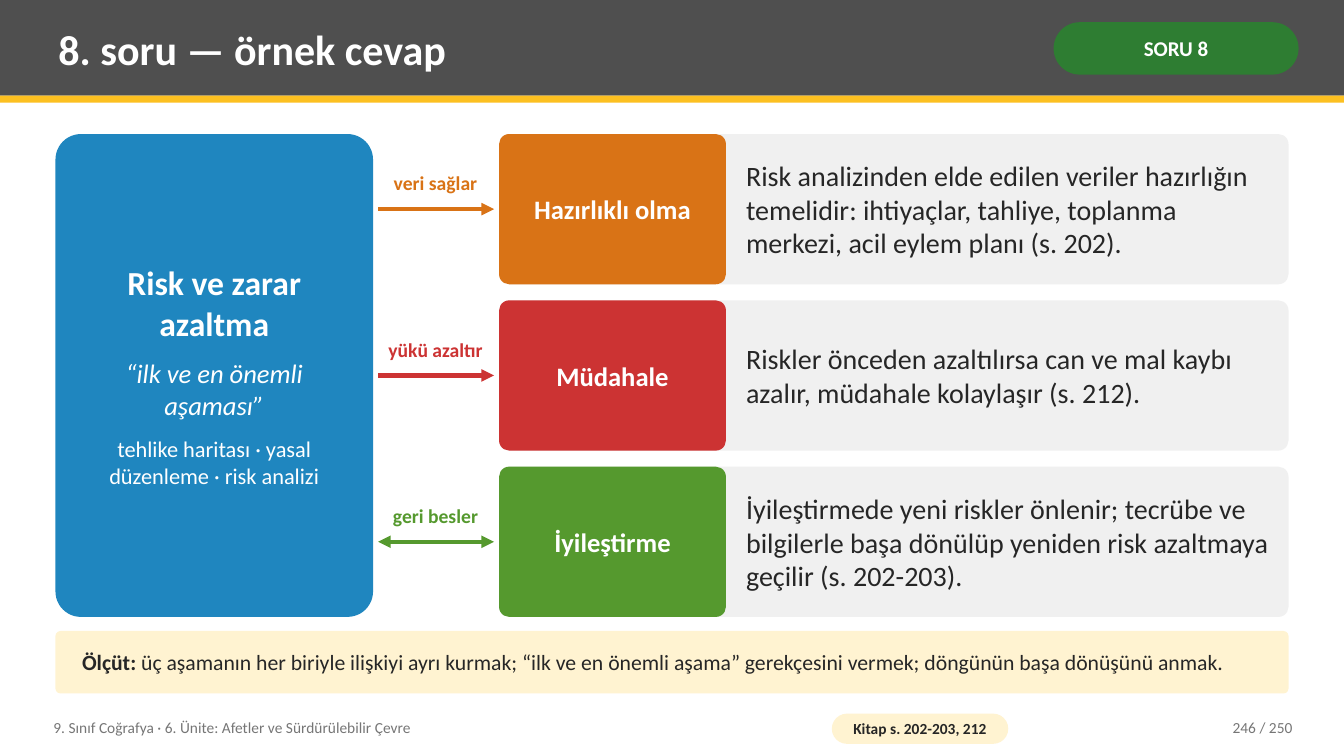
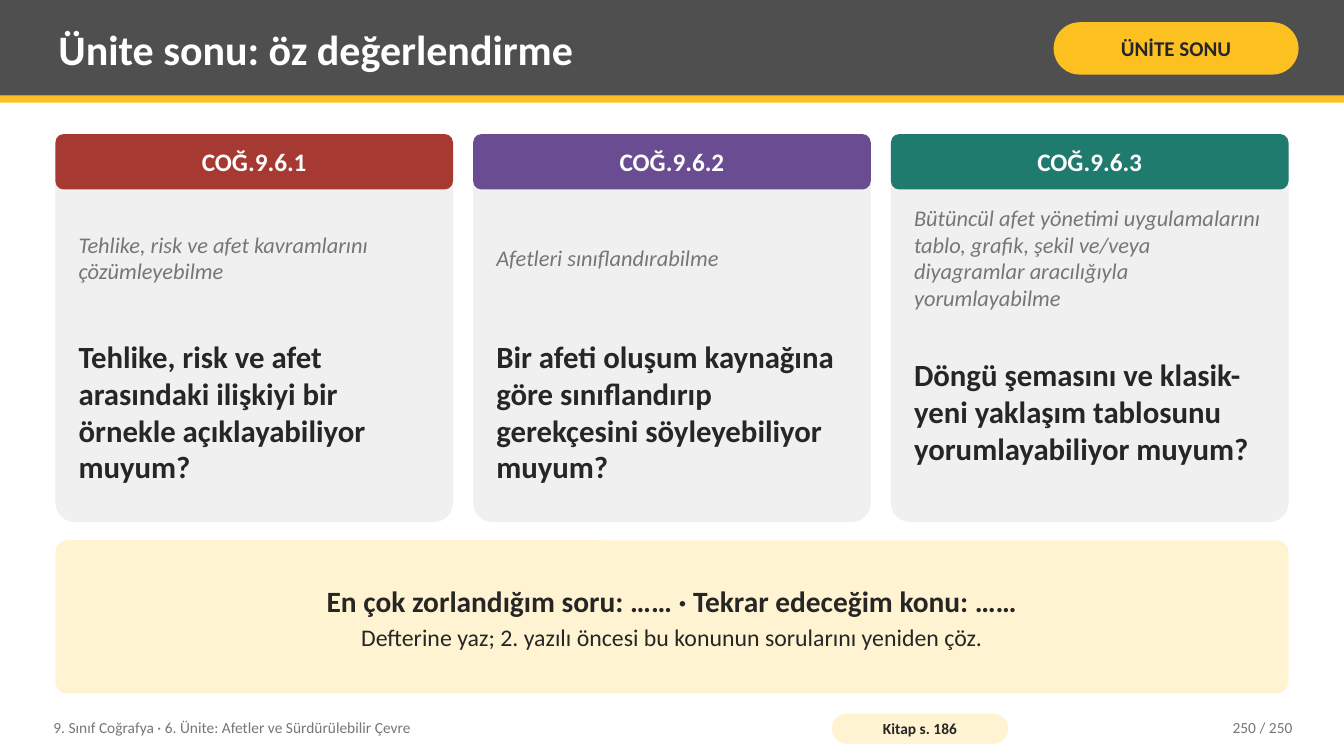
from dataclasses import dataclass

from lxml import etree
from pptx import Presentation
from pptx.dml.color import RGBColor
from pptx.enum.shapes import MSO_CONNECTOR, MSO_SHAPE
from pptx.enum.text import MSO_ANCHOR, PP_ALIGN
from pptx.oxml.ns import qn
from pptx.presentation import Presentation as Deck
from pptx.shapes.autoshape import Shape
from pptx.slide import Slide
from pptx.util import Inches, Pt

RECTANGLE = MSO_SHAPE.RECTANGLE
ROUNDED = MSO_SHAPE.ROUNDED_RECTANGLE
STRAIGHT = MSO_CONNECTOR.STRAIGHT
TOP, MIDDLE = MSO_ANCHOR.TOP, MSO_ANCHOR.MIDDLE
LEFT, CENTER, RIGHT = PP_ALIGN.LEFT, PP_ALIGN.CENTER, PP_ALIGN.RIGHT

FONT = "Calibri"
WHITE = RGBColor(0xFF, 0xFF, 0xFF)
INK = RGBColor(0x26, 0x26, 0x26)
MUTED = RGBColor(0x76, 0x76, 0x76)
BAND = RGBColor(0x4F, 0x4F, 0x4F)
PANEL = RGBColor(0xF0, 0xF0, 0xF0)
CREAM = RGBColor(0xFF, 0xF3, 0xD1)
YELLOW = RGBColor(0xFC, 0xC0, 0x21)
DARK_GREEN = RGBColor(0x2E, 0x7D, 0x32)
BLUE = RGBColor(0x1F, 0x86, 0xBF)
ORANGE = RGBColor(0xD9, 0x73, 0x16)
RED = RGBColor(0xCC, 0x33, 0x33)
GREEN = RGBColor(0x55, 0x99, 0x2E)
BRICK = RGBColor(0xA6, 0x3A, 0x32)
PURPLE = RGBColor(0x6A, 0x4C, 0x93)
TEAL = RGBColor(0x1E, 0x7B, 0x6E)

TEXT_INSETS = (0.08, 0.04)
SHAPE_INSETS = (0.14, 0.08)
UNIT_NAME = "9. Sınıf Coğrafya · 6. Ünite: Afetler ve Sürdürülebilir Çevre"
PAGE_COUNT = 250


@dataclass(frozen=True)
class Area:
    left: float
    top: float
    width: float
    height: float

    @property
    def right(self) -> float:
        return self.left + self.width

    @property
    def bottom(self) -> float:
        return self.top + self.height

    @property
    def middle(self) -> float:
        return self.top + self.height / 2

    def columns(self, count: int, gap: float) -> list["Area"]:
        width = (self.width - gap * (count - 1)) / count
        return [Area(self.left + i * (width + gap), self.top, width, self.height)
                for i in range(count)]

    def rows(self, count: int, gap: float) -> list["Area"]:
        height = (self.height - gap * (count - 1)) / count
        return [Area(self.left, self.top + i * (height + gap), self.width, height)
                for i in range(count)]

    def slice_x(self, start: float, width: float) -> "Area":
        return Area(self.left + start, self.top, width, self.height)

    def slice_y(self, start: float, height: float) -> "Area":
        return Area(self.left, self.top + start, self.width, height)


SLIDE = Area(0, 0, 13.33, 7.5)
CONTENT = Area(0.55, 1.33, 12.23, 5.55)
FOOTER = Area(0.45, 7.04, 12.45, 0.36)


@dataclass(frozen=True)
class Frame:
    title: str
    badge: str
    badge_fill: RGBColor
    badge_color: RGBColor
    source: str
    number: int


@dataclass(frozen=True)
class Stage:
    name: str
    link: str
    detail: str
    color: RGBColor
    two_way: bool = False


@dataclass(frozen=True)
class Outcome:
    code: str
    goal: str
    question: str
    color: RGBColor


STAGES = (
    Stage("Hazırlıklı olma", "veri sağlar",
          "Risk analizinden elde edilen veriler hazırlığın temelidir: ihtiyaçlar, "
          "tahliye, toplanma merkezi, acil eylem planı (s. 202).", ORANGE),
    Stage("Müdahale", "yükü azaltır",
          "Riskler önceden azaltılırsa can ve mal kaybı azalır, müdahale "
          "kolaylaşır (s. 212).", RED),
    Stage("İyileştirme", "geri besler",
          "İyileştirmede yeni riskler önlenir; tecrübe ve bilgilerle başa dönülüp "
          "yeniden risk azaltmaya geçilir (s. 202-203).", GREEN, two_way=True),
)
OUTCOMES = (
    Outcome("COĞ.9.6.1", "Tehlike, risk ve afet kavramlarını çözümleyebilme",
            "Tehlike, risk ve afet arasındaki ilişkiyi bir örnekle açıklayabiliyor "
            "muyum?", BRICK),
    Outcome("COĞ.9.6.2", "Afetleri sınıflandırabilme",
            "Bir afeti oluşum kaynağına göre sınıflandırıp gerekçesini "
            "söyleyebiliyor muyum?", PURPLE),
    Outcome("COĞ.9.6.3",
            "Bütüncül afet yönetimi uygulamalarını tablo, grafik, şekil ve/veya "
            "diyagramlar aracılığıyla yorumlayabilme",
            "Döngü şemasını ve klasik-yeni yaklaşım tablosunu yorumlayabiliyor "
            "muyum?", TEAL),
)


def write(box: Shape, text: str, *, size: float, color: RGBColor = INK,
          bold: bool = False, italic: bool = False, align: PP_ALIGN = LEFT,
          after: float = 0, same_line: bool = False) -> None:
    frame = box.text_frame
    para = frame.paragraphs[-1]
    if para.runs and not same_line:
        para = frame.add_paragraph()
    para.alignment = align
    para.space_after = Pt(after)
    span = para.add_run()
    span.text = text
    span.font.name = FONT
    span.font.size = Pt(size)
    span.font.color.rgb = color
    span.font.bold = bold
    span.font.italic = italic


def set_frame(box: Shape, insets: tuple[float, float], anchor: MSO_ANCHOR) -> None:
    frame = box.text_frame
    frame.word_wrap = True
    frame.vertical_anchor = anchor
    frame.margin_left = frame.margin_right = Inches(insets[0])
    frame.margin_top = frame.margin_bottom = Inches(insets[1])


def place(area: Area) -> tuple[int, int, int, int]:
    return (Inches(area.left), Inches(area.top),
            Inches(area.width), Inches(area.height))


def add_text(page: Slide, area: Area, anchor: MSO_ANCHOR = MIDDLE) -> Shape:
    box = page.shapes.add_textbox(*place(area))
    set_frame(box, TEXT_INSETS, anchor)
    return box


def add_block(page: Slide, area: Area, fill: RGBColor, rounding: float = 0,
              insets: tuple[float, float] = SHAPE_INSETS) -> Shape:
    block = page.shapes.add_shape(ROUNDED if rounding else RECTANGLE, *place(area))
    if rounding:
        block.adjustments[0] = rounding
    block.shadow.inherit = False
    block.fill.solid()
    block.fill.fore_color.rgb = fill
    block.line.fill.background()
    set_frame(block, insets, MIDDLE)
    return block


def add_arrow(page: Slide, start: float, end: float, height: float,
              color: RGBColor, two_way: bool) -> None:
    arrow = page.shapes.add_connector(
        STRAIGHT, Inches(start), Inches(height), Inches(end), Inches(height))
    arrow.line.color.rgb = color
    arrow.line.width = Pt(3)
    properties = arrow._element.spPr
    line = properties.find(qn("a:ln"))
    for end_tag in ("a:headEnd", "a:tailEnd") if two_way else ("a:tailEnd",):
        etree.SubElement(line, qn(end_tag), type="triangle")
    etree.SubElement(properties, qn("a:effectLst"))


def add_page(deck: Deck, frame: Frame) -> Slide:
    page = deck.slides.add_slide(deck.slide_layouts[6])
    add_block(page, SLIDE.slice_y(0, 0.95), BAND)
    add_block(page, SLIDE.slice_y(0.95, 0.07), YELLOW)
    write(add_text(page, Area(0.5, 0.07, 9.75, 0.82)), frame.title,
          size=30, color=WHITE, bold=True)
    badge = add_block(page, Area(10.45, 0.22, 2.43, 0.52), frame.badge_fill,
                      0.5, (0.05, 0.02))
    write(badge, frame.badge, size=15, color=frame.badge_color, bold=True, align=CENTER)

    write(add_text(page, FOOTER.slice_x(0, 7.6)), UNIT_NAME, size=11, color=MUTED)
    source = add_block(page, Area(8.25, 7.08, 1.75, 0.3), CREAM, 0.5, (0.04, 0))
    write(source, frame.source, size=11, bold=True, align=CENTER)
    write(add_text(page, FOOTER.slice_x(10.85, 1.6)), f"{frame.number} / {PAGE_COUNT}",
          size=11, color=MUTED, align=RIGHT)
    return page


def add_stage(page: Slide, row: Area, hub: Area, stage: Stage) -> None:
    add_arrow(page, hub.right + 0.05, row.left - 0.05, row.middle,
              stage.color, stage.two_way)
    label = add_text(page, Area(hub.right + 0.02, row.top + 0.33, 1.2, 0.36), TOP)
    write(label, stage.link, size=14, color=stage.color, bold=True, align=CENTER)
    add_block(page, row, PANEL, 0.067)
    name = add_block(page, row.slice_x(0, 2.25), stage.color, 0.067)
    write(name, stage.name, size=19, color=WHITE, bold=True, align=CENTER)
    write(add_text(page, row.slice_x(2.37, 5.4)), stage.detail, size=20)


def build_answer(deck: Deck) -> None:
    page = add_page(deck, Frame("8. soru — örnek cevap", "SORU 8", DARK_GREEN, WHITE,
                                "Kitap s. 202-203, 212", 246))
    body = CONTENT.slice_y(0, 4.79)
    hub = body.slice_x(0, 3.15)
    block = add_block(page, hub, BLUE, 0.08)
    write(block, "Risk ve zarar azaltma", size=24, color=WHITE, bold=True,
          align=CENTER, after=10)
    write(block, "“ilk ve en önemli aşaması”", size=19, color=WHITE, italic=True,
          align=CENTER, after=10)
    write(block, "tehlike haritası · yasal düzenleme · risk analizi", size=16,
          color=WHITE, align=CENTER)
    for row, stage in zip(body.slice_x(4.4, 7.83).rows(len(STAGES), 0.16), STAGES):
        add_stage(page, row, hub, stage)
    criterion = add_block(page, CONTENT.slice_y(4.93, 0.62), CREAM, 0.08, (0.25, 0.08))
    write(criterion, "Ölçüt:", size=15.5, bold=True)
    write(criterion, " üç aşamanın her biriyle ilişkiyi ayrı kurmak; “ilk ve en önemli "
          "aşama” gerekçesini vermek; döngünün başa dönüşünü anmak.",
          size=15.5, same_line=True)


def add_outcome(page: Slide, column: Area, outcome: Outcome) -> None:
    add_block(page, column, PANEL, 0.05)
    header = add_block(page, column.slice_y(0, 0.55), outcome.color, 0.15)
    write(header, outcome.code, size=18, color=WHITE, bold=True, align=CENTER)
    inner = column.slice_x(0.15, column.width - 0.3)
    write(add_text(page, inner.slice_y(0.6, 1.25)), outcome.goal,
          size=16, color=MUTED, italic=True)
    write(add_text(page, inner.slice_y(1.9, 1.7)), outcome.question, size=22, bold=True)


def build_review(deck: Deck) -> None:
    page = add_page(deck, Frame("Ünite sonu: öz değerlendirme", "ÜNİTE SONU", YELLOW,
                                INK, "Kitap s. 186", 250))
    columns = CONTENT.slice_y(0, 3.85).columns(len(OUTCOMES), 0.2)
    for column, outcome in zip(columns, OUTCOMES):
        add_outcome(page, column, outcome)
    note = add_block(page, CONTENT.slice_y(4.03, 1.52), CREAM, 0.08)
    write(note, "En çok zorlandığım soru: …… · Tekrar edeceğim konu: ……",
          size=21, bold=True, align=CENTER, after=3)
    write(note, "Defterine yaz; 2. yazılı öncesi bu konunun sorularını yeniden çöz.",
          size=17, align=CENTER)


def main() -> None:
    deck = Presentation()
    deck.slide_width = Inches(SLIDE.width)
    deck.slide_height = Inches(SLIDE.height)
    build_answer(deck)
    build_review(deck)
    deck.save("out.pptx")


if __name__ == "__main__":
    main()
